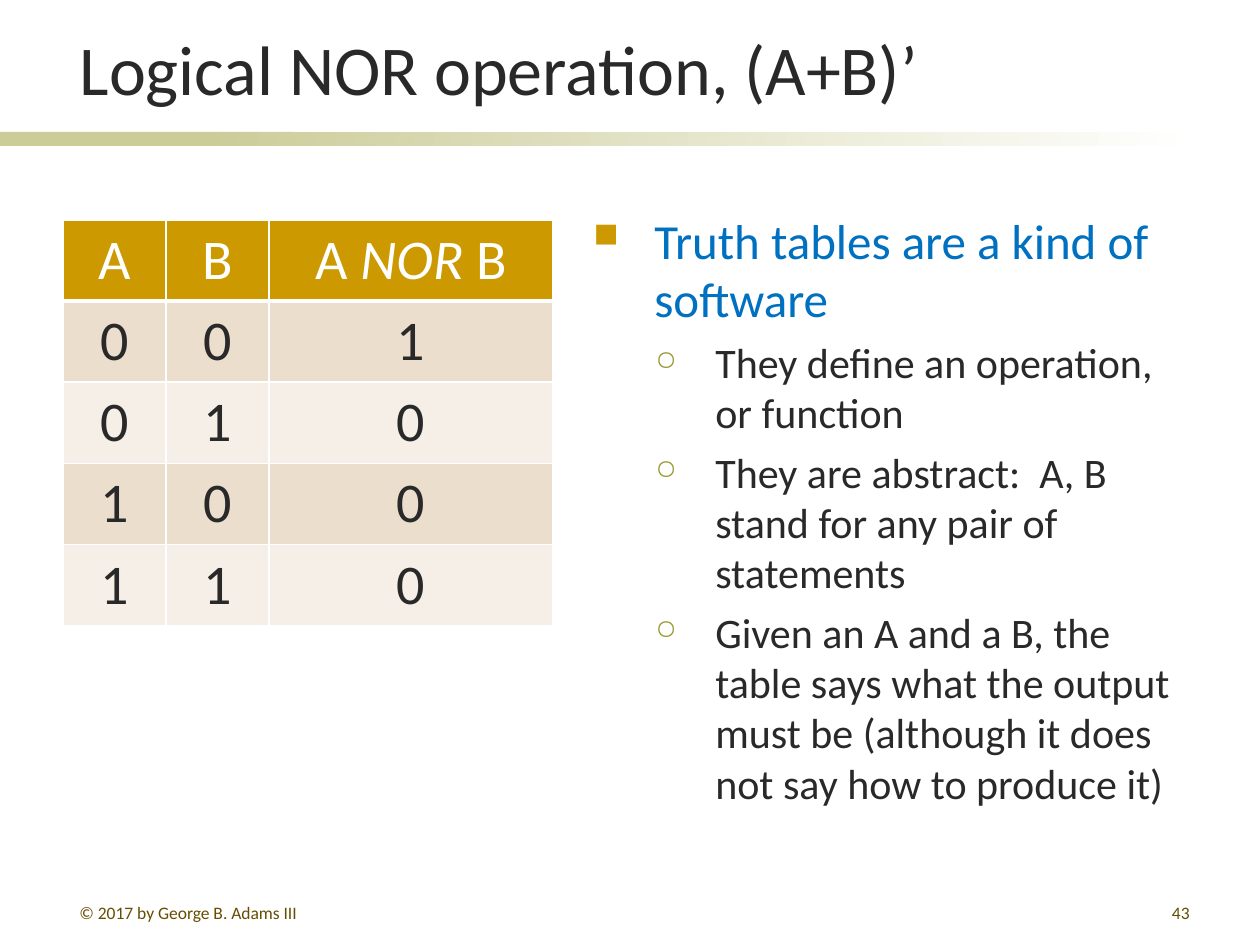
from lxml.etree import SubElement
from pptx import Presentation
from pptx.dml.color import RGBColor as RGB
from pptx.enum.shapes import MSO_SHAPE as SHAPE
from pptx.enum.text import MSO_ANCHOR as ANCHOR, MSO_AUTO_SIZE as AUTO_SIZE, PP_ALIGN as ALIGN
from pptx.oxml.ns import qn
from pptx.util import Pt

PX = 7257  # EMU in one px, 126 px to the inch
COLORS = {
    "text": "292929", "accent": "0070C0", "footer": "664D00", "white": "FFFFFF",
    "bar": "CCCC99", "header": "CC9900", "odd": "ECDECC", "even": "F6EFE7",
    "square": "CC9900", "circle": "999933",
}


def add_run(paragraph, text, size, color, italic=False):
    run = paragraph.add_run()
    run.text = text
    formats = {"name": "Calibri", "size": Pt(size), "italic": italic}
    for attribute, value in formats.items():
        setattr(run.font, attribute, value)
    run.font.color.rgb = RGB.from_string(COLORS[color])


def add_text_frame(left, top, width, height):
    box = slide.shapes.add_textbox(left * PX, top * PX, width * PX, height * PX)
    box.text_frame.word_wrap = True
    return box.text_frame


presentation = Presentation()
presentation.slide_width, presentation.slide_height = 1260 * PX, 945 * PX
slide = presentation.slides.add_slide(presentation.slide_layouts[5])

# Bars under the title: one solid, one fading to white
for left, width, fades in ((0, 294, False), (199, 998, True)):
    bar = slide.shapes.add_shape(SHAPE.RECTANGLE, left * PX, 132 * PX, width * PX, 14 * PX)
    bar.shadow.inherit = False
    bar.line.fill.background()
    if fades:
        bar.fill.gradient()
        bar.fill.gradient_angle = 0
        for stop, color, position in zip(bar.fill.gradient_stops, ("bar", "white"), (0, 1)):
            stop.color.rgb = RGB.from_string(COLORS[color])
            stop.position = position
    else:
        bar.fill.solid()
        bar.fill.fore_color.rgb = RGB.from_string(COLORS["bar"])

# Title
title = slide.shapes.title
title_place = {"left": 67, "top": 14, "width": 1135, "height": 102}
for attribute, value in title_place.items():
    setattr(title, attribute, value * PX)
title_format = {"vertical_anchor": ANCHOR.BOTTOM, "auto_size": AUTO_SIZE.NONE, "word_wrap": True}
for attribute, value in title_format.items():
    setattr(title.text_frame, attribute, value)
heading = title.text_frame.paragraphs[0]
heading.alignment = ALIGN.LEFT
add_run(heading, "Logical NOR operation, (A+B)’", 40, "text")

# Truth table
truth_rows = [["A", "B", "A NOR B"]]
truth_rows += [[str(a), str(b), str(int(not (a or b)))] for a in (0, 1) for b in (0, 1)]
column_widths = (103, 103, 284)
row_height = 81
truth_table = slide.shapes.add_table(
    len(truth_rows), len(column_widths), 63 * PX, 220 * PX,
    sum(column_widths) * PX, row_height * len(truth_rows) * PX).table
for column, width in zip(truth_table.columns, column_widths):
    column.width = width * PX
for row_index, values in enumerate(truth_rows):
    truth_table.rows[row_index].height = row_height * PX
    is_header = row_index == 0
    fill = "header" if is_header else ("even", "odd")[row_index % 2]
    for column_index, value in enumerate(values):
        cell = truth_table.cell(row_index, column_index)
        paragraph = cell.text_frame.paragraphs[0]
        paragraph.alignment = ALIGN.CENTER
        before, operator, after = value.partition("NOR")
        for part in filter(None, (before, operator, after)):
            add_run(paragraph, part, 32, "white" if is_header else "text", part == "NOR")
        # Borders come before the fill in the cell properties
        for edge in ("lnL", "lnR", "lnT", "lnB"):
            thick = (is_header and edge == "lnB") or (row_index == 1 and edge == "lnT")
            border = SubElement(cell._tc.get_or_add_tcPr(), qn(f"a:{edge}"), w=str(Pt(3 if thick else 1)))
            SubElement(SubElement(border, qn("a:solidFill")), qn("a:srgbClr"), val=COLORS["white"])
        cell.fill.solid()
        cell.fill.fore_color.rgb = RGB.from_string(COLORS[fill])

# Bulleted notes
levels = [
    {"indent": 61, "hang": 61, "bullet": "■", "bullet_color": "square", "scale": 70, "size": 28, "color": "accent"},
    {"indent": 122, "hang": 60, "bullet": "○", "bullet_color": "circle", "scale": 65, "size": 24, "color": "text"},
]
notes = [
    (0, "Truth tables are a kind of software"),
    (1, "They define an operation, or function"),
    (1, "They are abstract:  A, B stand for any pair of statements"),
    (1, "Given an A and a B, the table says what the output must be (although it does not say how to produce it)"),
]
notes_frame = add_text_frame(581, 204, 605, 632)
for index, (level, text) in enumerate(notes):
    style = levels[level]
    paragraph = notes_frame.paragraphs[0] if index == 0 else notes_frame.add_paragraph()
    paragraph.level = level
    if index:
        paragraph.space_before = Pt(5)
    properties = paragraph._p.get_or_add_pPr()
    properties.set("marL", str(style["indent"] * PX))
    properties.set("indent", str(-style["hang"] * PX))
    bullet_color = SubElement(properties, qn("a:buClr"))
    SubElement(bullet_color, qn("a:srgbClr"), val=COLORS[style["bullet_color"]])
    SubElement(properties, qn("a:buSzPct"), val=str(style["scale"] * 1000))
    SubElement(properties, qn("a:buChar"), char=style["bullet"])
    add_run(paragraph, text, style["size"], style["color"])

# Footer: copyright and slide number
for left, width, alignment, text in (
        (67, 273, ALIGN.LEFT, "© 2017 by George B. Adams III"),
        (940, 262, ALIGN.RIGHT, "43")):
    paragraph = add_text_frame(left, 896, width, 26).paragraphs[0]
    paragraph.alignment = alignment
    add_run(paragraph, text, 10, "footer")

presentation.save("out.pptx")
